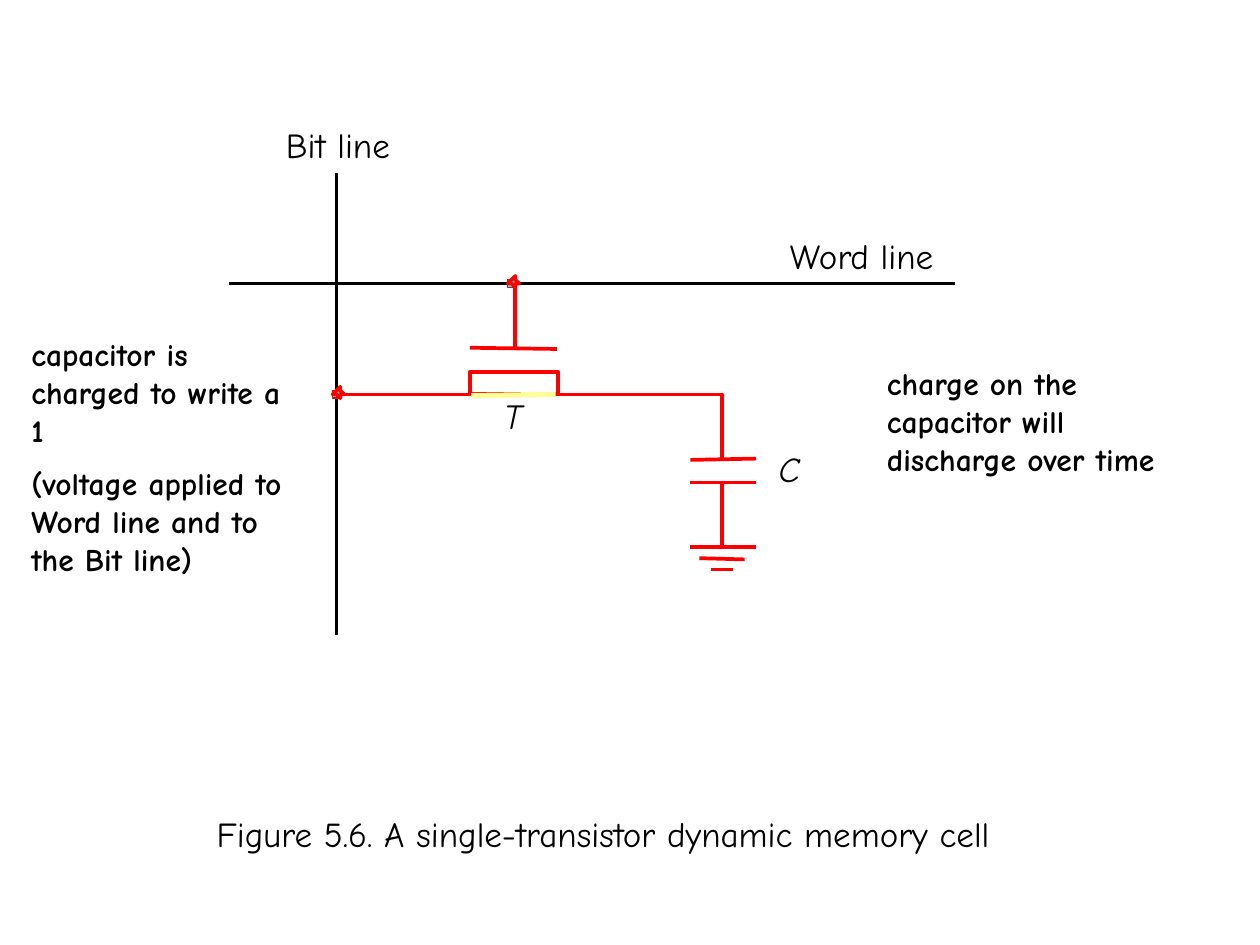
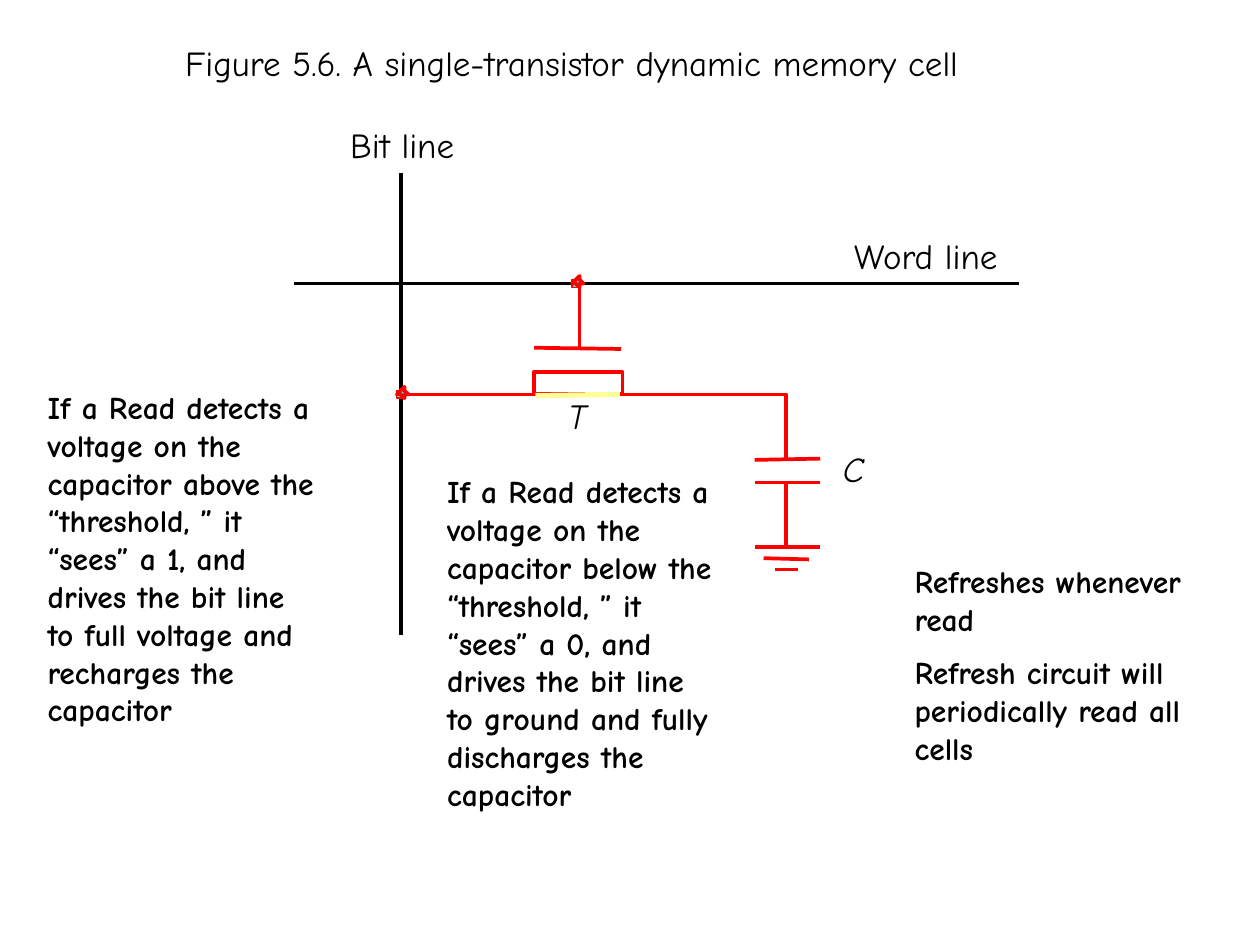
"""Build two slides that explain a single-transistor dynamic memory cell."""
from dataclasses import dataclass

from lxml import etree
from pptx import Presentation
from pptx.dml.color import RGBColor
from pptx.enum.shapes import MSO_CONNECTOR, MSO_SHAPE
from pptx.enum.text import MSO_ANCHOR, MSO_AUTO_SIZE, PP_ALIGN
from pptx.oxml.ns import qn
from pptx.util import Inches, Pt

STRAIGHT = MSO_CONNECTOR.STRAIGHT
RECTANGLE = MSO_SHAPE.RECTANGLE
TOP = MSO_ANCHOR.TOP
GROW = MSO_AUTO_SIZE.SHAPE_TO_FIT_TEXT
LEFT = PP_ALIGN.LEFT
TITLE_ONLY = 5


@dataclass(frozen=True)
class Theme:
    """Colours, type sizes and line widths of the deck."""

    font: str = "Comic Neue"
    ink: RGBColor = RGBColor(0x00, 0x00, 0x00)
    wire: RGBColor = RGBColor(0xFF, 0x00, 0x00)
    joint: RGBColor = RGBColor(0x00, 0xFF, 0xFF)
    channel: RGBColor = RGBColor(0xFF, 0xFF, 0x99)
    label_size: Pt = Pt(20)
    note_size: Pt = Pt(18)
    note_gap: Pt = Pt(9)
    line_width: Pt = Pt(2.13)
    channel_width: Pt = Pt(3)


THEME = Theme()
LABEL_FRAME = {
    "margin_left": 0, "margin_top": 0, "margin_right": 0, "margin_bottom": 0,
    "word_wrap": False, "auto_size": GROW, "vertical_anchor": TOP,
}
NOTE_FRAME = {"word_wrap": True, "auto_size": GROW, "vertical_anchor": TOP}
LABEL_FONT = {"name": THEME.font, "size": THEME.label_size, "bold": False}
SYMBOL_FONT = {**LABEL_FONT, "italic": True}
NOTE_FONT = {"name": THEME.font, "size": THEME.note_size, "bold": True}
LABEL_PARAGRAPH = {"alignment": LEFT}
NOTE_PARAGRAPH = {"alignment": LEFT, "space_before": THEME.note_gap}

CAPTION = "Figure 5.6. A single-transistor dynamic memory cell"
CAPTION_SIZE = (6.39, 0.33)
NOTE_WIDTH = 2.35
READ_RULE = (
    "If a Read detects a voltage on the capacitor {level} the “threshold, ” "
    "it “sees” a {bit}, and drives the bit line to {action} the capacitor"
)

LABELS = [
    ("T", 4, 3.13, 0.17, SYMBOL_FONT),
    ("C", 6.18, 3.55, 0.2, SYMBOL_FONT),
    ("Word line", 6.27, 1.86, 1.17, LABEL_FONT),
    ("Bit line", 2.27, 0.98, 0.84, LABEL_FONT),
]
BUS_LINES = [
    ((7.58, 2.25), (1.82, 2.25)),
    ((2.67, 5.04), (2.67, 1.37)),
]
GATE_WIRES = [
    ((4.09, 2.77), (4.09, 2.25)),
    ((3.73, 3.13), (2.67, 3.13)),
    ((4.42, 2.77), (3.73, 2.76)),
]
CAPACITOR_WIRES = [
    ((6, 3.64), (5.48, 3.65)),
    ((6, 3.83), (5.48, 3.83)),
    ((5.73, 4.34), (5.73, 3.83)),
]
GROUND_WIRES = [
    ((6, 4.34), (5.48, 4.34)),
    ((5.91, 4.44), (5.55, 4.43)),
    ((5.82, 4.52), (5.64, 4.52)),
]
JOINTS = [(2.67, 3.13), (4.06, 2.25)]
JOINT_STEP = 0.03
JOINT_SQUARE = [(-1, -1), (-1, 1), (1, 1), (1, -1)]
JOINT_SPARK = [(1, -2), (0, -1), (-1, 0), (0, 0), (1, 1), (1, 0), (2, 0), (1, -1), (1, -2)]
DRAIN_WIRE = [(5.73, 3.64), (5.73, 3.13), (4.42, 3.13)]


def apply_format(target, values):
    """Set each attribute of the target from a dict of values."""
    for name, value in values.items():
        setattr(target, name, value)


def write_text(box, texts, frame_format, paragraph_format, font_format):
    """Fill a box with one formatted paragraph per text."""
    frame = box.text_frame
    apply_format(frame, frame_format)
    for index, text in enumerate(texts):
        para = frame.add_paragraph() if index else frame.paragraphs[0]
        apply_format(para, paragraph_format)
        span = para.add_run()
        span.text = text
        apply_format(span.font, font_format)
        span.font.color.rgb = THEME.ink


def add_label(page, text, left, top, width, font_format):
    """Add a one-line label beside the circuit."""
    box = page.shapes.add_textbox(Inches(left), Inches(top), Inches(width), Inches(0.33))
    write_text(box, [text], LABEL_FRAME, LABEL_PARAGRAPH, font_format)


def add_note(page, left, top, height, texts):
    """Add a bold wrapped explanation."""
    box = page.shapes.add_textbox(
        Inches(left), Inches(top), Inches(NOTE_WIDTH), Inches(height))
    write_text(box, texts, NOTE_FRAME, NOTE_PARAGRAPH, NOTE_FONT)


def add_caption(page, left, top):
    """Place the figure caption in the title placeholder."""
    caption = page.shapes.title
    width, height = CAPTION_SIZE
    apply_format(caption, {
        "left": Inches(left), "top": Inches(top),
        "width": Inches(width), "height": Inches(height),
    })
    write_text(caption, [CAPTION], LABEL_FRAME, LABEL_PARAGRAPH, LABEL_FONT)


def style_line(shape, color, width=THEME.line_width):
    """Give a shape or connector a solid line."""
    shape.line.color.rgb = color
    shape.line.width = width


def add_wire(page, start, end, shift, color, width=THEME.line_width):
    """Draw a straight wire, moved right by the shift."""
    wire = page.shapes.add_connector(
        STRAIGHT, Inches(start[0] + shift), Inches(start[1]),
        Inches(end[0] + shift), Inches(end[1]))
    style_line(wire, color, width)
    etree.SubElement(wire._element.spPr, qn("a:effectLst"))


def add_outline(page, points, shift, close=False):
    """Draw an unfilled red outline through the points."""
    corners = [(Inches(x + shift), Inches(y)) for x, y in points]
    builder = page.shapes.build_freeform(*corners[0])
    builder.add_line_segments(corners[1:], close=close)
    outline = builder.convert_to_shape()
    outline.shadow.inherit = False
    outline.fill.background()
    style_line(outline, THEME.wire)
    return outline


def add_joint(page, center, shift):
    """Mark where two wires meet."""
    def around(offsets):
        """Turn step offsets into points around the joint."""
        return [(center[0] + x * JOINT_STEP, center[1] + y * JOINT_STEP) for x, y in offsets]

    square = add_outline(page, around(JOINT_SQUARE), shift, close=True)
    square.fill.solid()
    square.fill.fore_color.rgb = THEME.joint
    square.line.width = Pt(0)
    add_outline(page, around(JOINT_SPARK), shift)


def add_transistor_body(page, shift):
    """Draw the body of the transistor."""
    body = page.shapes.add_shape(
        RECTANGLE, Inches(3.73 + shift), Inches(2.95), Inches(0.7), Inches(0.18))
    body.shadow.inherit = False
    body.fill.background()
    style_line(body, THEME.wire)


def add_memory_cell(page, shift):
    """Draw the labelled memory cell circuit."""
    for text, left, top, width, font_format in LABELS:
        add_label(page, text, left + shift, top, width, font_format)
    for start, end in BUS_LINES:
        add_wire(page, start, end, shift, THEME.ink)
    for start, end in GATE_WIRES + CAPACITOR_WIRES + GROUND_WIRES:
        add_wire(page, start, end, shift, THEME.wire)
    add_transistor_body(page, shift)
    for center in JOINTS:
        add_joint(page, center, shift)
    add_wire(page, (3.74, 3.14), (4.41, 3.13), shift, THEME.channel, THEME.channel_width)
    add_outline(page, DRAIN_WIRE, shift)


def add_page(deck, caption_at, shift, notes):
    """Add a slide with the caption, the circuit and its notes."""
    page = deck.slides.add_slide(deck.slide_layouts[TITLE_ONLY])
    add_caption(page, *caption_at)
    add_memory_cell(page, shift)
    for note in notes:
        add_note(page, *note)


def main():
    """Build and save the deck."""
    deck = Presentation()
    deck.slide_width, deck.slide_height = Inches(10), Inches(7.5)
    add_page(deck, (1.72, 6.45), 0, [
        (0.15, 2.61, 1.57, [
            "capacitor is charged to write a 1",
            "(voltage applied to Word line and to the Bit line)",
        ]),
        (6.94, 2.84, 0.9, ["charge on the capacitor will discharge over time"]),
    ])
    add_page(deck, (1.47, 0.33), 0.51, [
        (0.28, 3.03, 2.51, [READ_RULE.format(
            level="above", bit=1, action="full voltage and recharges")]),
        (3.45, 3.7, 2.51, [READ_RULE.format(
            level="below", bit=0, action="ground and fully discharges")]),
        (7.16, 4.41, 1.57, [
            "Refreshes whenever read",
            "Refresh circuit will periodically read all cells",
        ]),
    ])
    deck.save("out.pptx")


if __name__ == "__main__":
    main()
